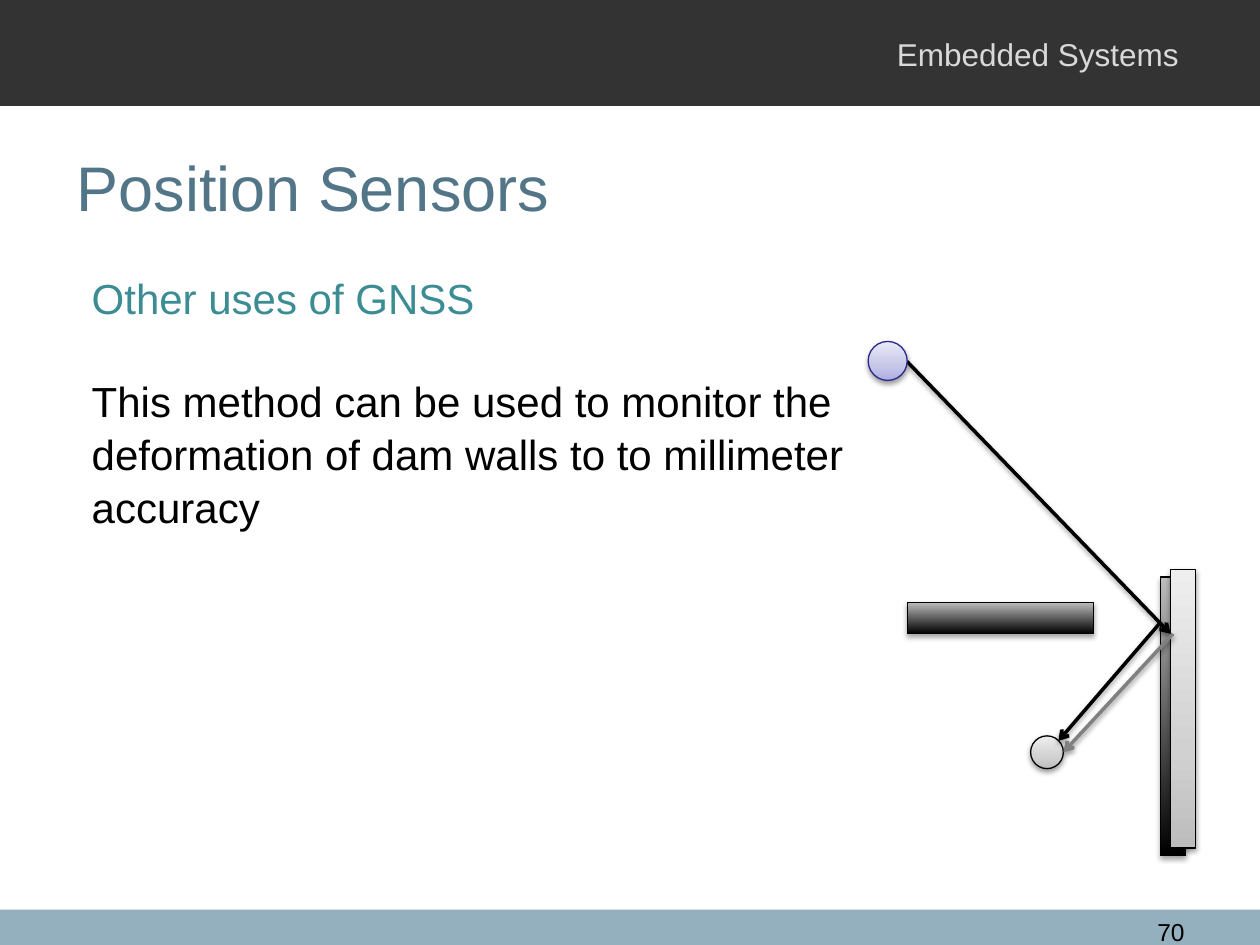
from lxml import etree
from pptx import Presentation
from pptx.dml.color import RGBColor
from pptx.enum.shapes import MSO_CONNECTOR, MSO_SHAPE
from pptx.enum.text import MSO_ANCHOR, PP_ALIGN
from pptx.oxml.ns import qn
from pptx.util import Inches, Pt

RECT, OVAL = MSO_SHAPE.RECTANGLE, MSO_SHAPE.OVAL
STRAIGHT = MSO_CONNECTOR.STRAIGHT
TOP, MIDDLE = MSO_ANCHOR.TOP, MSO_ANCHOR.MIDDLE
LEFT, RIGHT = PP_ALIGN.LEFT, PP_ALIGN.RIGHT

WIDTH, HEIGHT = Inches(10), Inches(7.5)
FONT = "Arial"
LINE_SPACING = 1.05

# Gradients run from the bottom up: (position in %, colour)
DARK = [(0, "000000"), (100, "BDBDBD")]
LIGHT = [(0, "BDBDBD"), (35, "D1D1D1"), (100, "EEEEEE")]
VIOLET = [(0, "ADADE1"), (35, "C6C6E9"), (100, "E9E9F7")]

# Shadows: (opacity in %, distance in points)
SOFT, DEEP = (38, 1.6), (35, 1.8)


def rgb(color):
    return RGBColor.from_string(color)


def across(share):
    """Length as a percentage of the slide width."""
    return round(WIDTH * share / 100)


def down(share):
    """Length as a percentage of the slide height."""
    return round(HEIGHT * share / 100)


def frame(x, y, w, h):
    return across(x), down(y), across(w), down(h)


def child(parent, tag, **attrs):
    return etree.SubElement(parent, qn(tag), {k: str(v) for k, v in attrs.items()})


def add_color(parent, color, **mods):
    clr = child(parent, "a:srgbClr", val=color)
    for name, share in mods.items():
        child(clr, f"a:{name}", val=share * 1000)


def set_shadow(sp, shadow):
    opacity, distance = shadow
    sp_pr = sp._element.spPr
    effects = sp_pr.find(qn("a:effectLst"))
    if effects is None:
        effects = child(sp_pr, "a:effectLst")
    outer = child(effects, "a:outerShdw", blurRad=Pt(3.1), dist=Pt(distance),
                  dir=90 * 60000, rotWithShape=0)
    add_color(outer, "000000", alpha=opacity)


def set_gradient(sp, stops):
    sp.fill.gradient()
    grad = sp._element.spPr.find(qn("a:gradFill"))
    for old in list(grad):
        grad.remove(old)
    gs_list = child(grad, "a:gsLst")
    for pos, color in stops:
        add_color(child(gs_list, "a:gs", pos=pos * 1000), color)
    child(grad, "a:lin", ang=270 * 60000, scaled=0)


def add_bar(slide, y, h, color):
    sp = slide.shapes.add_shape(RECT, *frame(0, y, 100, h))
    sp.shadow.inherit = False
    sp.fill.solid()
    sp.fill.fore_color.rgb = rgb(color)
    sp.line.fill.background()


def add_body(slide, kind, box, stops, shadow=SOFT, outline="000000"):
    sp = slide.shapes.add_shape(kind, *frame(*box))
    sp.shadow.inherit = False
    set_gradient(sp, stops)
    sp.line.color.rgb = rgb(outline)
    sp.line.width = Pt(0.75)
    set_shadow(sp, shadow)


def add_signal(slide, start, end, color="000000"):
    sp = slide.shapes.add_connector(STRAIGHT, across(start[0]), down(start[1]),
                                    across(end[0]), down(end[1]))
    sp.line.color.rgb = rgb(color)
    sp.line.width = Pt(2)
    child(sp.line._get_or_add_ln(), "a:tailEnd", type="arrow")
    set_shadow(sp, SOFT)


def add_text(slide, box, paragraphs, size, align=LEFT, anchor=TOP, gap=0):
    """Paragraphs are (text, colour) pairs, set apart by gap points."""
    tf = slide.shapes.add_textbox(*frame(*box)).text_frame
    tf.word_wrap = True
    tf.vertical_anchor = anchor
    for i, (text, color) in enumerate(paragraphs):
        p = tf.add_paragraph() if i else tf.paragraphs[0]
        p.alignment = align
        p.line_spacing = LINE_SPACING
        p.space_before = Pt(gap if i else 0)
        r = p.add_run()
        r.text = text
        r.font.name = FONT
        r.font.size = Pt(size)
        r.font.color.rgb = rgb(color)


def main():
    prs = Presentation()
    prs.slide_width, prs.slide_height = WIDTH, HEIGHT
    slide = prs.slides.add_slide(prs.slide_layouts[6])

    # Footer and header bars
    add_bar(slide, 96.27, 3.73, "94B0BE")
    add_bar(slide, 0, 11.2, "333333")

    # Text
    add_text(slide, (70.2, 2.8, 25, 5.33), [("Embedded Systems", "D9D9D9")], 18)
    add_text(slide, (5.1, 11.2, 90, 16.67), [("Position Sensors", "527688")], 36,
             anchor=MIDDLE)
    add_text(slide, (88.6, 96.27, 6.4, 3.2), [("70", "000000")], 14, align=RIGHT)
    add_text(slide, (6.3, 27.87, 62.6, 28.27), [
        ("Other uses of GNSS", "3C8C93"),
        ("This method can be used to monitor the deformation of dam walls "
         "to to millimeter accuracy", "000000"),
    ], 24, gap=28.8)

    # Receiver, wall and obstacle
    add_body(slide, OVAL, (81.8, 77.87, 2.6, 3.47), LIGHT)
    add_body(slide, RECT, (92.1, 61.07, 2, 29.47), DARK, DEEP)
    add_body(slide, RECT, (72, 63.73, 14.8, 3.33), DARK, DEEP)

    # Signal before the wall moves
    add_signal(slide, (72, 38.27), (92.9, 67.07))
    add_signal(slide, (92.1, 65.87), (84, 78.4))

    # Moved wall, its reflected signal, and the satellite
    add_body(slide, RECT, (92.9, 60.27, 2, 29.47), LIGHT)
    add_signal(slide, (93.1, 67.07), (84.4, 79.6), "808080")
    add_body(slide, OVAL, (68.9, 36.13, 3.1, 4.13), VIOLET, outline="2A2A89")

    prs.save("out.pptx")


if __name__ == "__main__":
    main()
